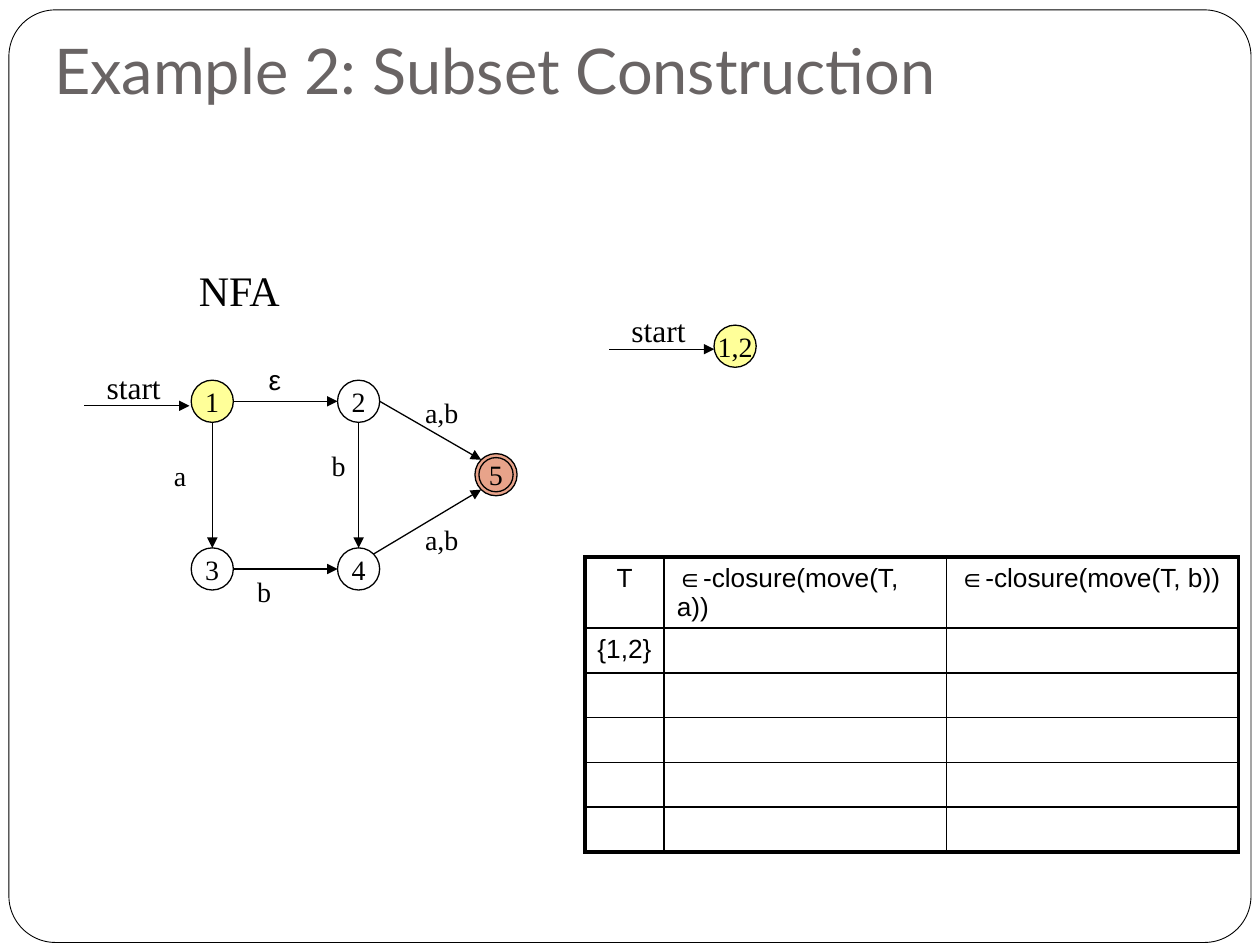
from dataclasses import dataclass
from math import cos, pi, sin

from lxml import etree
from pptx import Presentation
from pptx.dml.color import RGBColor
from pptx.enum.shapes import MSO_CONNECTOR as Connector, MSO_SHAPE as Shape
from pptx.enum.text import MSO_ANCHOR as Anchor, MSO_AUTO_SIZE as AutoSize, PP_ALIGN as Align
from pptx.oxml.ns import qn
from pptx.util import Cm, Pt


@dataclass(frozen=True)
class Theme:
    ink: RGBColor = RGBColor(0x00, 0x00, 0x00)
    heading: RGBColor = RGBColor(0x69, 0x64, 0x64)
    paper: RGBColor = RGBColor(0xFF, 0xFF, 0xFF)
    start: RGBColor = RGBColor(0xFF, 0xFF, 0x99)
    accepting: RGBColor = RGBColor(0xD3, 0x48, 0x17)
    title_size: int = 36
    caption_size: int = 24
    start_size: int = 18
    symbol_size: int = 16
    table_size: int = 15
    title_font: str = "Lato"
    diagram_font: str = "Times New Roman"
    table_font: str = "Arial"
    thin: float = 0.75
    grid: float = 1
    border: float = 2.25


theme = Theme()


def write(frame, text, size, font=theme.diagram_font, color=theme.ink, align=Align.LEFT):
    frame.text = text
    paragraph = frame.paragraphs[0]
    paragraph.alignment = align
    for run in paragraph.runs:
        run.font.size = Pt(size)
        run.font.name = font
        run.font.color.rgb = color


def draw_arrow(x1, y1, x2, y2):
    arrow = slide.shapes.add_connector(Connector.STRAIGHT, Cm(x1), Cm(y1), Cm(x2), Cm(y2))
    arrow.line.color.rgb = theme.ink
    arrow.line.width = Pt(theme.thin)
    etree.SubElement(arrow.line._get_or_add_ln(), qn("a:tailEnd"), type="triangle")
    etree.SubElement(arrow.element.spPr, qn("a:effectLst"))
    return arrow


deck = Presentation()
deck.slide_width, deck.slide_height = Cm(25.4), Cm(19.05)
slide = deck.slides.add_slide(deck.slide_layouts[5])

border = slide.shapes.add_shape(Shape.ROUNDED_RECTANGLE, Cm(0.18), Cm(0.2), Cm(25.04), Cm(18.8))
border.adjustments[0] = 0.05
border.shadow.inherit = False
border.fill.solid()
border.fill.fore_color.rgb = theme.paper
border.line.color.rgb = theme.ink
border.line.width = Pt(0.5)
border.element.getparent().insert(2, border.element)

title = slide.shapes.title
title.left, title.top, title.width, title.height = Cm(0.84), Cm(0.64), Cm(23.88), Cm(1.78)
heading = title.text_frame
heading.auto_size = AutoSize.NONE
heading.vertical_anchor = Anchor.BOTTOM
heading.margin_left = heading.margin_right = heading.margin_bottom = Cm(0.25)
heading.margin_top = Cm(0.13)
write(heading, "Example 2: Subset Construction", theme.title_size, theme.title_font, theme.heading)

headers = ["T", "∈-closure(move(T, a))", "∈-closure(move(T, b))"]
column_widths = [1.6, 5.69, 5.89]
row_heights = [1.43, 0.89] + [0.85] * 4
transitions = slide.shapes.add_table(
    len(row_heights), len(column_widths), Cm(11.79), Cm(11.23),
    Cm(sum(column_widths)), Cm(sum(row_heights))).table
for column, width in zip(transitions.columns, column_widths):
    column.width = Cm(width)
last_row, last_column = len(row_heights) - 1, len(column_widths) - 1
for r, height in enumerate(row_heights):
    transitions.rows[r].height = Cm(height)
    for c in range(len(column_widths)):
        cell = transitions.cell(r, c)
        if r == 0:
            write(cell.text_frame, headers[c], theme.table_size, theme.table_font,
                  align=Align.LEFT if c else Align.CENTER)
        elif (r, c) == (1, 0):
            write(cell.text_frame, "{1,2}", theme.table_size, theme.table_font)
            cell.margin_right = Cm(0)
        else:
            etree.SubElement(cell.text_frame.paragraphs[0]._p, qn("a:endParaRPr"),
                             sz=str(theme.table_size * 100))
        outer_edges = {"L": c == 0, "R": c == last_column, "T": r == 0, "B": r == last_row}
        properties = cell._tc.get_or_add_tcPr()
        for side, outer in outer_edges.items():
            weight = theme.border if outer else theme.grid
            edge = etree.SubElement(properties, qn(f"a:ln{side}"), w=str(Pt(weight)))
            ink = etree.SubElement(edge, qn("a:solidFill"))
            etree.SubElement(ink, qn("a:srgbClr"), val=str(theme.ink))
        cell.fill.background()

left, middle, right = 4.28, 7.23, 10
upper, center, lower = 8.09, 9.57, 11.47
diameter, ring = 0.85, 0.69
states = {}
for label, x, y, size, color in [
    ("1,2", 14.82, 6.98, diameter, theme.start),
    ("1", left, upper, diameter, theme.start),
    ("2", middle, upper, diameter, theme.paper),
    ("3", left, lower, diameter, theme.paper),
    ("4", middle, lower, diameter, theme.paper),
    ("5", right, center, diameter, theme.accepting),
    ("", right, center, ring, None),
]:
    state = slide.shapes.add_shape(
        Shape.OVAL, Cm(x - size / 2), Cm(y - size / 2), Cm(size), Cm(size))
    state.shadow.inherit = False
    state.line.color.rgb = theme.ink
    state.line.width = Pt(theme.thin)
    if color is None:
        state.fill.background()
        continue
    state.fill.solid()
    state.fill.fore_color.rgb = color
    state.text_frame.word_wrap = False
    state.text_frame.vertical_anchor = Anchor.MIDDLE
    write(state.text_frame, label, theme.symbol_size, align=Align.CENTER)
    states[label] = state, x, y
accepting_color = states["5"][0].element.spPr.find(qn("a:solidFill"))[0]
etree.SubElement(accepting_color, qn("a:alpha"), val="50000")

top_site, top_left, left_site, bottom_left, bottom_site, _, right_site, top_right = range(8)
for source, exit_site, target, entry_site in [
    ("1", right_site, "2", left_site),
    ("1", bottom_site, "3", top_site),
    ("2", bottom_site, "4", top_site),
    ("3", right_site, "4", left_site),
    ("2", right_site, "5", top_left),
    ("4", top_right, "5", bottom_left),
]:
    ends = []
    for label, site in [(source, exit_site), (target, entry_site)]:
        _, x, y = states[label]
        angle = pi / 2 + site * pi / 4
        ends += [x + diameter / 2 * cos(angle), y - diameter / 2 * sin(angle)]
    move = draw_arrow(*ends)
    glue = move.element.find(f"{qn('p:nvCxnSpPr')}/{qn('p:cNvCxnSpPr')}")
    for tag, label, site in [("a:stCxn", source, exit_site), ("a:endCxn", target, entry_site)]:
        etree.SubElement(glue, qn(tag), id=str(states[label][0].shape_id), idx=str(site))

start_arrows = [(1.7, 8.18), (12.28, 7.04)]
for x, y in start_arrows:
    draw_arrow(x, y, x + 2.12, y)

labels = [
    ("NFA", 3.76, 5.21, 2.21, 1.27, theme.caption_size, theme.diagram_font, Align.LEFT),
    ("ε", 5.16, 7.19, 0.76, 0.94, theme.symbol_size, theme.table_font, Align.CENTER),
]
labels += [
    (symbol, x, y, width, 0.94, theme.symbol_size, theme.diagram_font, Align.CENTER)
    for symbol, x, y, width in [
        ("b", 4.93, 11.46, 0.79), ("a", 3.25, 9.12, 0.76), ("b", 6.43, 8.92, 0.79),
        ("a,b", 8.31, 7.85, 1.19), ("a,b", 8.31, 10.41, 1.19)]
]
labels += [
    ("start", x + 0.2, y - 0.89, 1.75, 1.02, theme.start_size, theme.diagram_font, Align.LEFT)
    for x, y in start_arrows
]
for text, x, y, width, height, size, font, align in labels:
    label = slide.shapes.add_textbox(Cm(x), Cm(y), Cm(width), Cm(height)).text_frame
    label.word_wrap = False
    label.auto_size = AutoSize.SHAPE_TO_FIT_TEXT
    write(label, text, size, font, align=align)

deck.save("out.pptx")
